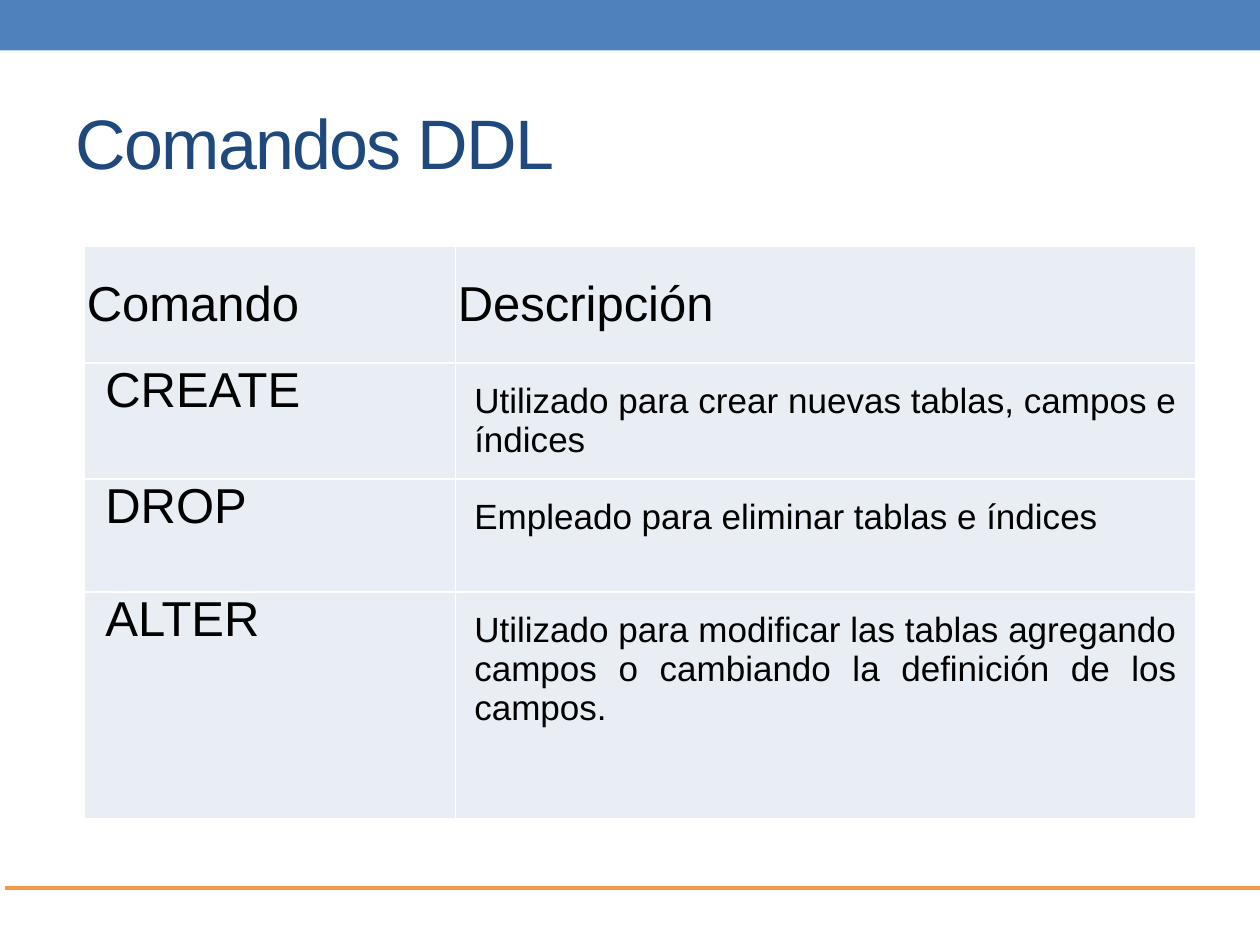
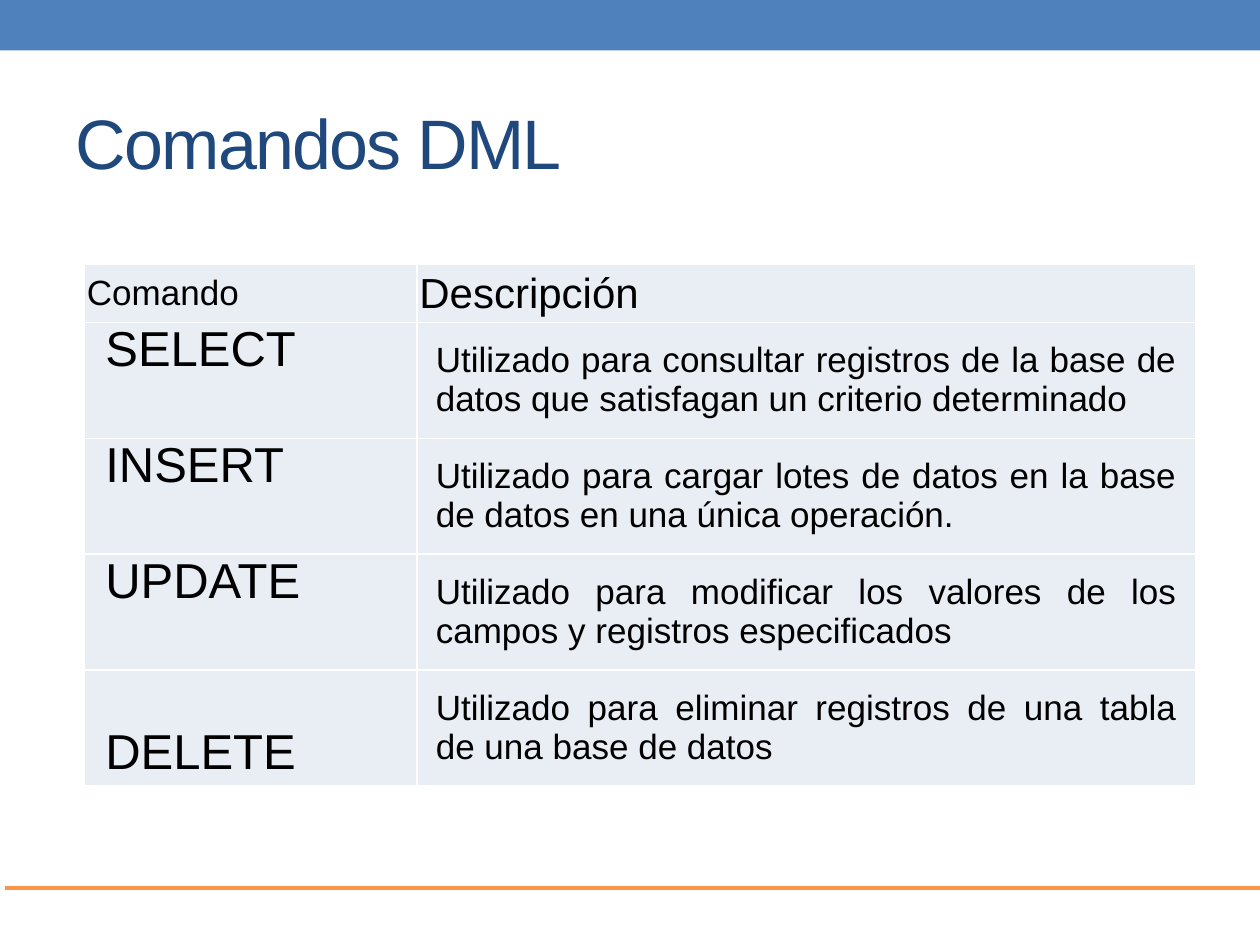
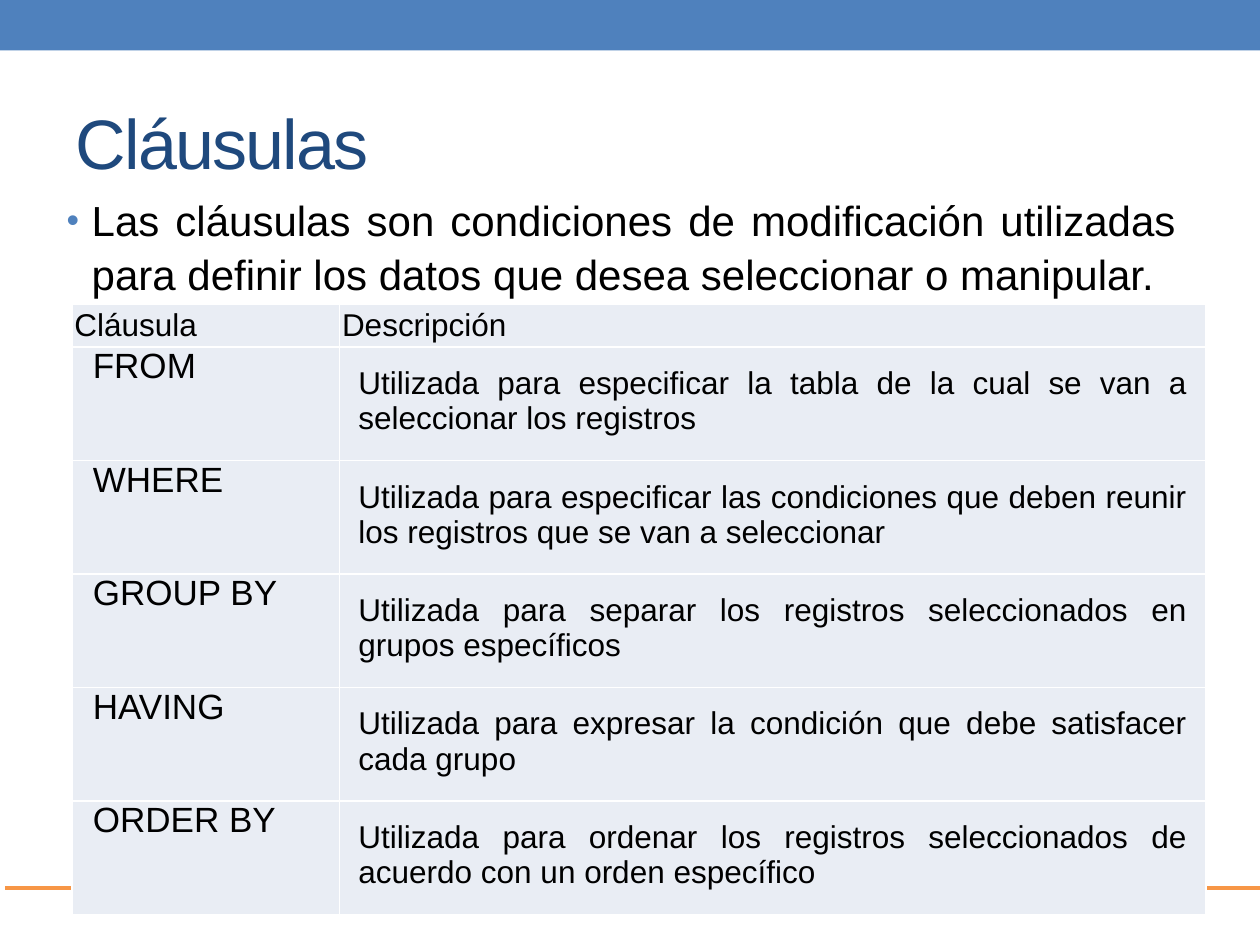
"""Build three slides about SQL commands and clauses."""
from dataclasses import dataclass

from lxml import etree
from pptx import Presentation
from pptx.dml import color
from pptx.enum import shapes, text
from pptx.oxml import ns
from pptx.util import Pt


@dataclass(frozen=True)
class Theme:
    """Colours, font and type sizes of the whole presentation."""
    band: str = "4F81BD"
    rule: str = "F79646"
    title: str = "1F497D"
    ink: str = "000000"
    cell: str = "E9EDF4"
    border: str = "FFFFFF"
    font: str = "Arial"
    title_size: int = 40
    body_size: int = 24


THEME = Theme()
TITLE_ONLY = 5
HEADER_INSETS = (1.44, 1.44, 1.44, 1.44)
COMMAND_INSETS = (12, 0, 1.44, 0)
LOW_COMMAND_INSETS = (12, 0, 1.44, 3.6)
DESCRIPTION_INSETS = (10.8, 10.8, 10.8, 10.8)
ANCHOR = text.MSO_ANCHOR


def rgb(value):
    """Return a colour object for a hex value."""
    return color.RGBColor.from_string(value)


def set_values(target, values):
    """Set several attributes of an object."""
    for name, value in values.items():
        setattr(target, name, value)


def add_element(parent, tag, **attributes):
    """Append a DrawingML element to a parent element."""
    return etree.SubElement(parent, ns.qn(tag), attributes)


def insets(values):
    """Name the left, top, right and bottom margins given in points."""
    sides = ("left", "top", "right", "bottom")
    return {f"margin_{side}": Pt(value) for side, value in zip(sides, values)}


def write(paragraph, content, size, ink=THEME.ink, align=text.PP_ALIGN.JUSTIFY):
    """Write one formatted run and return it."""
    paragraph.alignment = align
    run = paragraph.add_run()
    run.text = content
    set_values(run.font, {"name": THEME.font, "size": Pt(size), "bold": False})
    run.font.color.rgb = rgb(ink)
    return run


def decorate_master(presentation, slide):
    """Draw the top band and bottom rule, and hand them to the master."""
    band = slide.shapes.add_shape(shapes.MSO_SHAPE.RECTANGLE, 0, 0, Pt(720), Pt(28.8))
    band.shadow.inherit = False
    band.fill.solid()
    band.fill.fore_color.rgb = rgb(THEME.band)
    band.line.fill.background()

    rule = slide.shapes.add_connector(
        shapes.MSO_CONNECTOR.STRAIGHT, Pt(2.9), Pt(507.6), Pt(722.9), Pt(507.6))
    rule.line.color.rgb = rgb(THEME.rule)
    rule.line.width = Pt(2.25)
    add_element(rule.element.spPr, "a:effectLst")

    tree = presentation.slide_master.element.cSld.spTree
    for position, shape in enumerate((band, rule), start=2):
        tree.insert(position, shape.element)


def add_slide(presentation, title):
    """Add a slide with its formatted title."""
    slide = presentation.slides.add_slide(presentation.slide_layouts[TITLE_ONLY])
    shape = slide.shapes.title
    set_values(shape, {"left": Pt(36), "top": Pt(41.76),
                       "width": Pt(648), "height": Pt(77.76)})
    shape.text_frame.vertical_anchor = ANCHOR.MIDDLE
    run = write(shape.text_frame.paragraphs[0], title, THEME.title_size,
                THEME.title, text.PP_ALIGN.LEFT)
    run.font.element.set("spc", "-100") if hasattr(run.font, "element") else \
        run._r.get_or_add_rPr().set("spc", "-100")
    return slide


def add_bullet_text(slide, content):
    """Add a justified paragraph with a hanging bullet."""
    box = slide.shapes.add_textbox(Pt(30.96), Pt(105.84), Pt(648), Pt(383.76))
    box.text_frame.word_wrap = True
    paragraph = box.text_frame.paragraphs[0]
    set_values(paragraph, {"line_spacing": 1.07, "space_before": Pt(4.8)})
    write(paragraph, content, THEME.body_size)
    properties = paragraph._p.get_or_add_pPr()
    properties.set("marL", str(Pt(14.4)))
    properties.set("indent", str(-Pt(14.4)))
    bullet_color = add_element(properties, "a:buClr")
    add_element(bullet_color, "a:srgbClr", val=THEME.band)
    add_element(properties, "a:buSzPct", val="85000")
    add_element(properties, "a:buFont", typeface=THEME.font)
    add_element(properties, "a:buChar", char="•")


def fill_cell(cell, content, size, margins, anchor=ANCHOR.TOP):
    """Write a cell and give it borders, fill and margins."""
    properties = cell._tc.get_or_add_tcPr()
    for side in ("a:lnL", "a:lnR", "a:lnT", "a:lnB"):
        line = add_element(properties, side, w=str(Pt(1)))
        add_element(add_element(line, "a:solidFill"), "a:srgbClr", val=THEME.border)
    cell.fill.solid()
    cell.fill.fore_color.rgb = rgb(THEME.cell)
    set_values(cell, {**insets(margins), "vertical_anchor": anchor})
    write(cell.text_frame.paragraphs[0], content, size)


def add_command_table(slide, place, columns, heights, headers, rows, sizes, low=()):
    """Add a table of commands; those named in low sit at the cell bottom.

    headers holds (text, size) pairs, sizes the command and description sizes.
    """
    frame = slide.shapes.add_table(len(heights), len(columns), Pt(place[0]),
                                   Pt(place[1]), Pt(sum(columns)), Pt(sum(heights)))
    table = frame.table
    set_values(table, {"first_row": False, "horz_banding": False})
    for column, width in zip(table.columns, columns):
        column.width = Pt(width)
    for row, height in zip(table.rows, heights):
        row.height = Pt(height)
    for index, (label, size) in enumerate(headers):
        fill_cell(table.cell(0, index), label, size, HEADER_INSETS, ANCHOR.MIDDLE)
    for index, (command, description) in enumerate(rows, start=1):
        if command in low:
            style = (LOW_COMMAND_INSETS, ANCHOR.BOTTOM)
        else:
            style = (COMMAND_INSETS, ANCHOR.TOP)
        fill_cell(table.cell(index, 0), command, sizes[0], *style)
        fill_cell(table.cell(index, 1), description, sizes[1], DESCRIPTION_INSETS)


def add_ddl_slide(presentation):
    """Add the slide of definition commands."""
    slide = add_slide(presentation, "Comandos DDL")
    rows = [
        ("CREATE", "Utilizado para crear nuevas tablas, campos e índices"),
        ("DROP", "Empleado para eliminar tablas e índices"),
        ("ALTER", "Utilizado para modificar las tablas agregando campos o "
                  "cambiando la definición de los campos."),
    ]
    add_command_table(slide, (48.24, 140.76), (212, 423), (66.6, 66.24, 64.8, 129.6),
                      [("Comando", 28), ("Descripción", 28)], rows, (28, 20))
    return slide


def add_dml_slide(presentation):
    """Add the slide of manipulation commands."""
    slide = add_slide(presentation, "Comandos DML")
    rows = [
        ("SELECT", "Utilizado para consultar registros de la base de datos que "
                   "satisfagan un criterio determinado"),
        ("INSERT", "Utilizado para cargar lotes de datos en la base de datos en "
                   "una única operación."),
        ("UPDATE", "Utilizado para modificar los valores de los campos y "
                   "registros especificados"),
        ("DELETE", "Utilizado para eliminar registros de una tabla de una base "
                   "de datos"),
    ]
    add_command_table(slide, (48.24, 151.2), (190, 445), [33] + [66.24] * len(rows),
                      [("Comando", 20), ("Descripción", 24)], rows, (28, 20),
                      low=("DELETE",))


def add_clauses_slide(presentation):
    """Add the slide of clauses."""
    slide = add_slide(presentation, "Cláusulas")
    add_bullet_text(slide, "Las cláusulas son condiciones de modificación utilizadas "
                           "para definir los datos que desea seleccionar o manipular.")
    rows = [
        ("FROM", "Utilizada para especificar la tabla de la cual se van a "
                 "seleccionar los registros"),
        ("WHERE", "Utilizada para especificar las condiciones que deben reunir "
                  "los registros que se van a seleccionar"),
        ("GROUP BY", "Utilizada para separar los registros seleccionados en "
                     "grupos específicos"),
        ("HAVING", "Utilizada para expresar la condición que debe satisfacer "
                   "cada grupo"),
        ("ORDER BY", "Utilizada para ordenar los registros seleccionados de "
                     "acuerdo con un orden específico"),
    ]
    add_command_table(slide, (41.04, 173.88), (153, 495), [22.9] + [61.9] * len(rows),
                      [("Cláusula", 18), ("Descripción", 18)], rows, (20, 18))


def main():
    """Build and save the presentation."""
    presentation = Presentation()
    set_values(presentation, {"slide_width": Pt(720), "slide_height": Pt(540)})
    first_slide = add_ddl_slide(presentation)
    decorate_master(presentation, first_slide)
    add_dml_slide(presentation)
    add_clauses_slide(presentation)
    presentation.save("out.pptx")


main()
